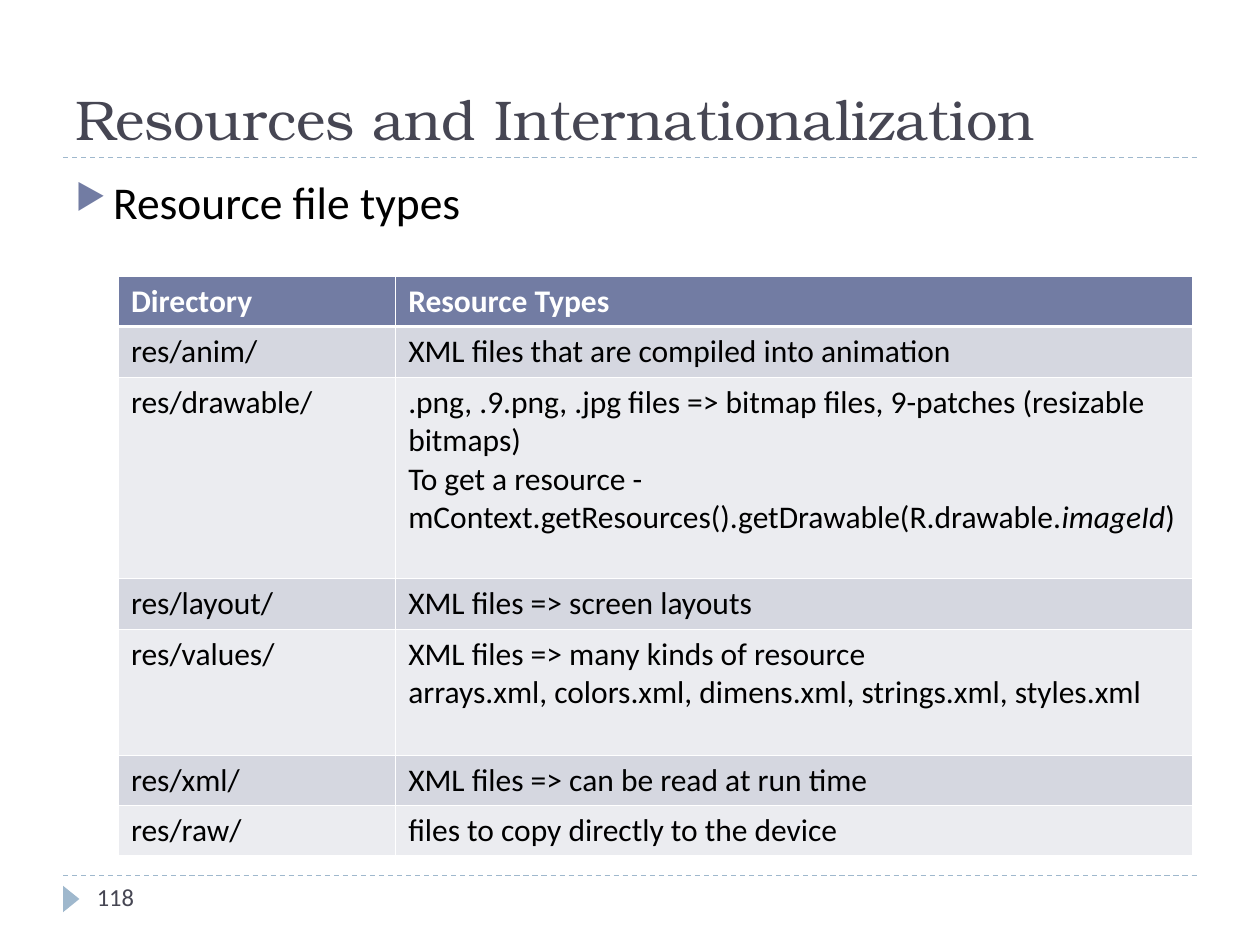
from lxml import etree
from pptx import Presentation
from pptx.dml.color import RGBColor
from pptx.enum import dml, shapes, text
from pptx.oxml import ns
from pptx.util import Inches, Pt

HUES = {"ink": "464653", "black": "000000", "white": "FFFFFF", "head": "727CA3",
        "rule": "9FB8CD", "odd": "D5D7E0", "even": "EBECF0"}


def hue(name):
    return RGBColor.from_string(HUES[name])


def write(frame, words, size=18, font="Calibri", color="black", bold=False,
          anchor=text.MSO_ANCHOR.TOP):
    """Each line is a paragraph; runs between asterisks are italic."""
    frame.word_wrap = True
    frame.vertical_anchor = anchor
    for i, line in enumerate(words.split("\n")):
        para = frame.paragraphs[0] if i == 0 else frame.add_paragraph()
        for j, part in enumerate(line.split("*")):
            run = para.add_run()
            run.text = part
            run.font.size = Pt(size)
            run.font.name = font
            run.font.bold = bold
            run.font.italic = j % 2 == 1
            run.font.color.rgb = hue(color)
    return frame.paragraphs[0]


deck = Presentation()
deck.slide_width, deck.slide_height = Inches(10), Inches(7.5)
slide = deck.slides.add_slide(deck.slide_layouts[6])
items = slide.shapes

# Dashed rules
for y in (6.95, 1.25):
    rule = items.add_connector(shapes.MSO_CONNECTOR.STRAIGHT,
                               Inches(0.5), Inches(y), Inches(9.5), Inches(y))
    rule.line.color.rgb = hue("rule")
    rule.line.width = Pt(0.75)
    rule.line.dash_style = dml.MSO_LINE.DASH
    etree.SubElement(rule.line._get_or_add_ln().getparent(), ns.qn("a:effectLst"))

# Footer marker
mark = items.add_shape(shapes.MSO_SHAPE.ISOSCELES_TRIANGLE,
                       Inches(0.46), Inches(7.07), Inches(0.21), Inches(0.13))
mark.rotation = 90
mark.shadow.inherit = False
mark.fill.solid()
mark.fill.fore_color.rgb = hue("rule")
mark.line.fill.background()

# Title, bullet and page number
title = items.add_textbox(Inches(0.5), Inches(0.17), Inches(9), Inches(1.08))
write(title.text_frame, "Resources and Internationalization", size=32,
      font="TeX Gyre Bonum", color="ink", anchor=text.MSO_ANCHOR.BOTTOM)

body = items.add_textbox(Inches(0.5), Inches(1.33), Inches(9), Inches(5.4))
point = write(body.text_frame, "Resource file types", size=26)
point.space_before = Pt(6)
props = point._p.get_or_add_pPr()
props.set("marL", str(Inches(0.3)))
props.set("indent", str(-Inches(0.3)))
tint = etree.SubElement(props, ns.qn("a:buClr"))
etree.SubElement(tint, ns.qn("a:srgbClr"), val=HUES["head"])
etree.SubElement(props, ns.qn("a:buSzPct"), val="76000")
etree.SubElement(props, ns.qn("a:buChar"), char="▶")

page = items.add_textbox(Inches(0.67), Inches(6.95), Inches(2.17), Inches(0.4))
write(page.text_frame, "118", size=14, color="ink")

# Table of resource types: directory, contents, row height
rows = [
    ("Directory", "Resource Types", 0.4),
    ("res/anim/", "XML files that are compiled into animation", 0.4),
    ("res/drawable/",
     ".png, .9.png, .jpg files => bitmap files, 9-patches (resizable bitmaps)\n"
     "To get a resource - mContext.getResources().getDrawable(R.drawable.*imageId*)", 1.6),
    ("res/layout/", "XML files => screen layouts", 0.4),
    ("res/values/", "XML files => many kinds of resource\n"
     "arrays.xml, colors.xml, dimens.xml, strings.xml, styles.xml", 1),
    ("res/xml/", "XML files => can be read at run time", 0.4),
    ("res/raw/", "files to copy directly to the device", 0.4),
]
grid = items.add_table(len(rows), 2, Inches(0.94), Inches(2.19),
                       Inches(8.52), Inches(4.6)).table
for col, width in zip(grid.columns, (2.2, 6.32)):
    col.width = Inches(width)

for r, (*words, height) in enumerate(rows):
    grid.rows[r].height = Inches(height)
    top = r == 0
    for c, word in enumerate(words):
        cell = grid.cell(r, c)
        cell.margin_left = cell.margin_right = Inches(0.1)
        cell.margin_top = cell.margin_bottom = Inches(0.05)
        write(cell.text_frame, word, color="white" if top else "black", bold=top)
        cell.vertical_anchor = text.MSO_ANCHOR.MIDDLE if top else text.MSO_ANCHOR.TOP
        # Borders come before the fill; the one under the header is thicker
        edges = cell._tc.get_or_add_tcPr()
        for side in "LRTB":
            thick = (r, side) in ((0, "B"), (1, "T"))
            edge = etree.SubElement(edges, ns.qn("a:ln" + side),
                                    w=str(Pt(1.47 if thick else 0.45)))
            paint = etree.SubElement(edge, ns.qn("a:solidFill"))
            etree.SubElement(paint, ns.qn("a:srgbClr"), val=HUES["white"])
        cell.fill.solid()
        cell.fill.fore_color.rgb = hue("head" if top else "odd" if r % 2 else "even")

deck.save("out.pptx")
